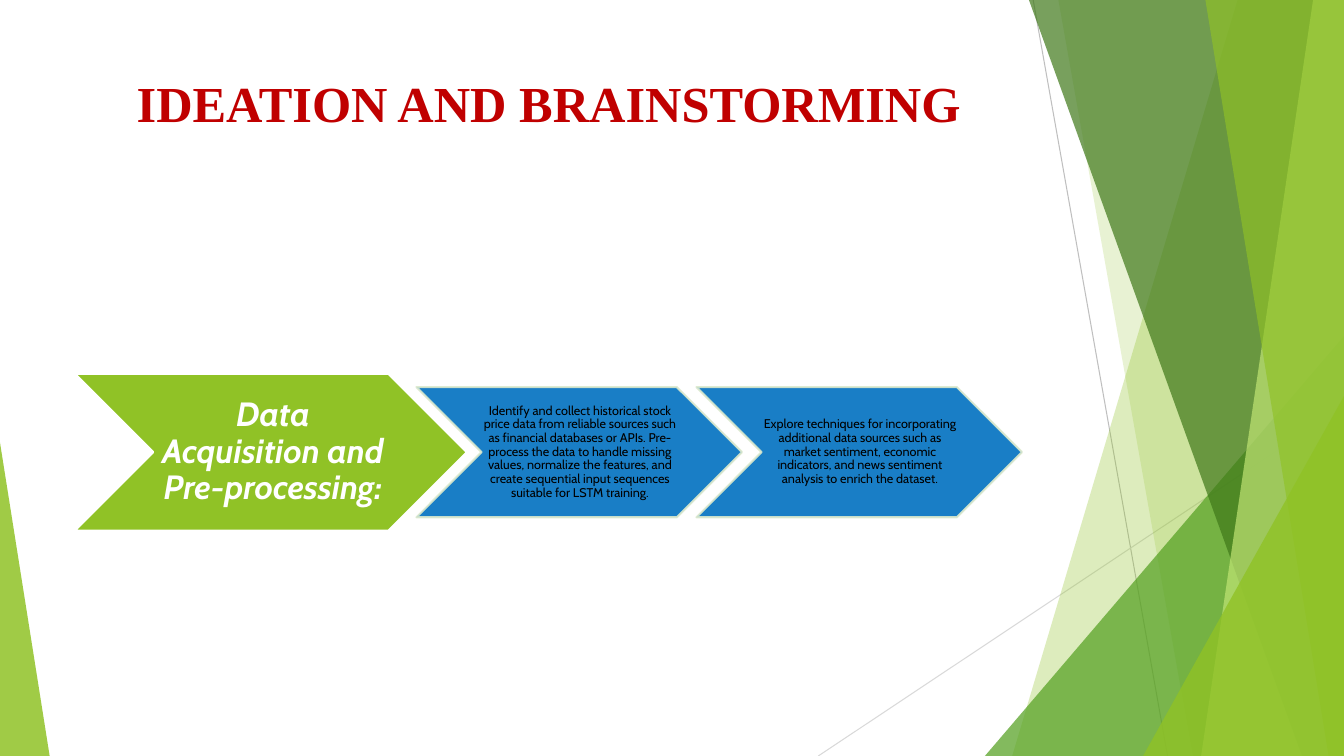
"""Draw the ideation slide: a faceted backdrop, a title and a row of chevrons."""
from typing import Any, NamedTuple

from lxml import etree
from pptx import Presentation
from pptx import util as u
from pptx.dml.color import RGBColor
from pptx.enum import shapes, text
from pptx.oxml import ns

WIDE, HIGH = 960, 540
LIME = RGBColor(0x90, 0xC2, 0x26)
GREEN = RGBColor(0x54, 0xA0, 0x21)
DARK = RGBColor(0x3F, 0x78, 0x19)
PALE = RGBColor(0xC0, 0xE4, 0x74)
MIST = RGBColor(0xDB, 0xE9, 0xCD)
BLUE = RGBColor(0x00, 0x70, 0xC0)
RED = RGBColor(0xC0, 0x00, 0x00)
GREY = RGBColor(0xBF, 0xBF, 0xBF)
SILVER = RGBColor(0xD9, 0xD9, 0xD9)
WHITE = RGBColor(0xFF, 0xFF, 0xFF)
BLACK = RGBColor(0x00, 0x00, 0x00)


class Ray(NamedTuple):
    """Thin line given by its two ends."""
    start: tuple[float, float]
    end: tuple[float, float]
    color: RGBColor


class Wedge(NamedTuple):
    """Band from a slanted left edge to the right side of the slide."""
    top: float
    base: float
    color: RGBColor
    alpha: int


class Peak(NamedTuple):
    """Triangle standing on the bottom of the slide."""
    left: float
    top: float
    width: float
    tip: int
    color: RGBColor
    alpha: int


class Step(NamedTuple):
    """Chevron with its words."""
    left: float
    width: float
    height: float
    fill: RGBColor
    edge: RGBColor
    alpha: int
    inset: float
    words: str
    color: RGBColor
    font: dict[str, Any]


RAYS = [
    Ray((738, 0), (834, HIGH), GREY),
    Ray((WIDE, 290), (584.5, HIGH), SILVER),
]
FACETS = [
    Wedge(884, 723, LIME, 30),
    Wedge(756, 852, LIME, 20),
    Peak(703.5, 240, 256.5, 1, GREEN, 72),
    Wedge(735, 929.5, DARK, 70),
    Wedge(938, 858, PALE, 70),
    Wedge(861, 949, LIME, 65),
    Peak(816.5, 283, 143.5, 1, LIME, 80),
    Peak(0, 316, 35.5, 0, LIME, 85),
]
TITLE = {"name": "Times New Roman", "size": u.Pt(36), "bold": True}
HEAD = {"name": "Cabin", "size": u.Pt(24), "bold": True, "italic": True}
BODY = {"name": "Cabin", "size": u.Pt(9)}
NOTES = [
    "Identify and collect historical stock price data from reliable sources "
    "such as financial databases or APIs. Pre-process the data to handle "
    "missing values, normalize the features, and create sequential input "
    "sequences suitable for LSTM training.",
    "Explore techniques for incorporating additional data sources such as "
    "market sentiment, economic indicators, and news sentiment analysis to "
    "enrich the dataset.",
]
MIDDLE, FIRST, PITCH = 323, 297.5, 200
STEPS = [
    Step(53.5, 280, 112, LIME, WHITE, 100, 3,
         "Data Acquisition and Pre-processing:", WHITE, HEAD),
] + [
    Step(FIRST + i * PITCH, 232.5, 93, BLUE, MIST, 90, 1, note, BLACK, BODY)
    for i, note in enumerate(NOTES)
]


def paint(fill: Any, color: RGBColor, alpha: int, node: Any) -> None:
    """Fill with a colour and make it see-through below 100 percent."""
    fill.solid()
    fill.fore_color.rgb = color
    if alpha < 100:
        tint = node.find(ns.qn("a:solidFill"))[0]
        etree.SubElement(tint, ns.qn("a:alpha"), val=str(alpha * 1000))


def write(shape: Any, words: str, color: RGBColor, font: dict[str, Any],
          frame: dict[str, Any], space: float) -> None:
    """Put one centred paragraph into a shape."""
    body = shape.text_frame
    para = body.paragraphs[0]
    run = para.add_run()
    run.text = words
    run.font.color.rgb = color
    para.alignment = text.PP_ALIGN.CENTER
    para.line_spacing = space
    for item, style in ((body, frame), (run.font, font)):
        for key, value in style.items():
            setattr(item, key, value)


def draw_ray(tree: Any, ray: Ray) -> None:
    """Draw a thin line."""
    ends = [u.Pt(n) for n in (*ray.start, *ray.end)]
    line = tree.add_connector(shapes.MSO_CONNECTOR.STRAIGHT, *ends)
    line.line.color.rgb = ray.color
    line.line.width = u.Pt(0.75)
    etree.SubElement(line._element.spPr, ns.qn("a:effectLst"))


def draw_facet(tree: Any, facet: Wedge | Peak) -> None:
    """Draw a see-through wedge or triangle."""
    if isinstance(facet, Wedge):
        pen = tree.build_freeform(facet.top, 0, scale=u.Pt(1))
        pen.add_line_segments(
            [(WIDE, 0), (WIDE, HIGH), (facet.base, HIGH)], close=True)
        shape = pen.convert_to_shape()
    else:
        area = (facet.left, facet.top, facet.width, HIGH - facet.top)
        shape = tree.add_shape(
            shapes.MSO_SHAPE.ISOSCELES_TRIANGLE, *map(u.Pt, area))
        shape.adjustments[0] = facet.tip
    shape.shadow.inherit = False
    shape.line.fill.background()
    paint(shape.fill, facet.color, facet.alpha, shape._element.spPr)


def draw_step(tree: Any, step: Step) -> None:
    """Draw a chevron with its words."""
    area = (step.left, MIDDLE - step.height / 2, step.width, step.height)
    shape = tree.add_shape(shapes.MSO_SHAPE.CHEVRON, *map(u.Pt, area))
    shape.shadow.inherit = False
    paint(shape.fill, step.fill, step.alpha, shape._element.spPr)
    shape.line.width = u.Pt(1.5)
    paint(shape.line.fill, step.edge, step.alpha, shape.line._ln)
    frame = {"word_wrap": True, "vertical_anchor": text.MSO_ANCHOR.MIDDLE,
             "margin_left": u.Pt(step.inset), "margin_right": 0,
             "margin_top": u.Pt(1), "margin_bottom": u.Pt(1)}
    write(shape, step.words, step.color, step.font, frame, 0.9)


def main() -> None:
    """Build and save the slide."""
    deck = Presentation()
    deck.slide_width, deck.slide_height = u.Pt(WIDE), u.Pt(HIGH)
    tree = deck.slides.add_slide(deck.slide_layouts[6]).shapes
    for ray in RAYS:
        draw_ray(tree, ray)
    for facet in FACETS:
        draw_facet(tree, facet)
    title = tree.add_textbox(*map(u.Pt, (53.5, 48, 677, 104)))
    frame = {"word_wrap": True, "margin_top": u.Pt(3.5),
             "vertical_anchor": text.MSO_ANCHOR.TOP}
    write(title, "IDEATION AND BRAINSTORMING", RED, TITLE, frame, 1.0)
    for step in STEPS:
        draw_step(tree, step)
    deck.save("out.pptx")


if __name__ == "__main__":
    main()
